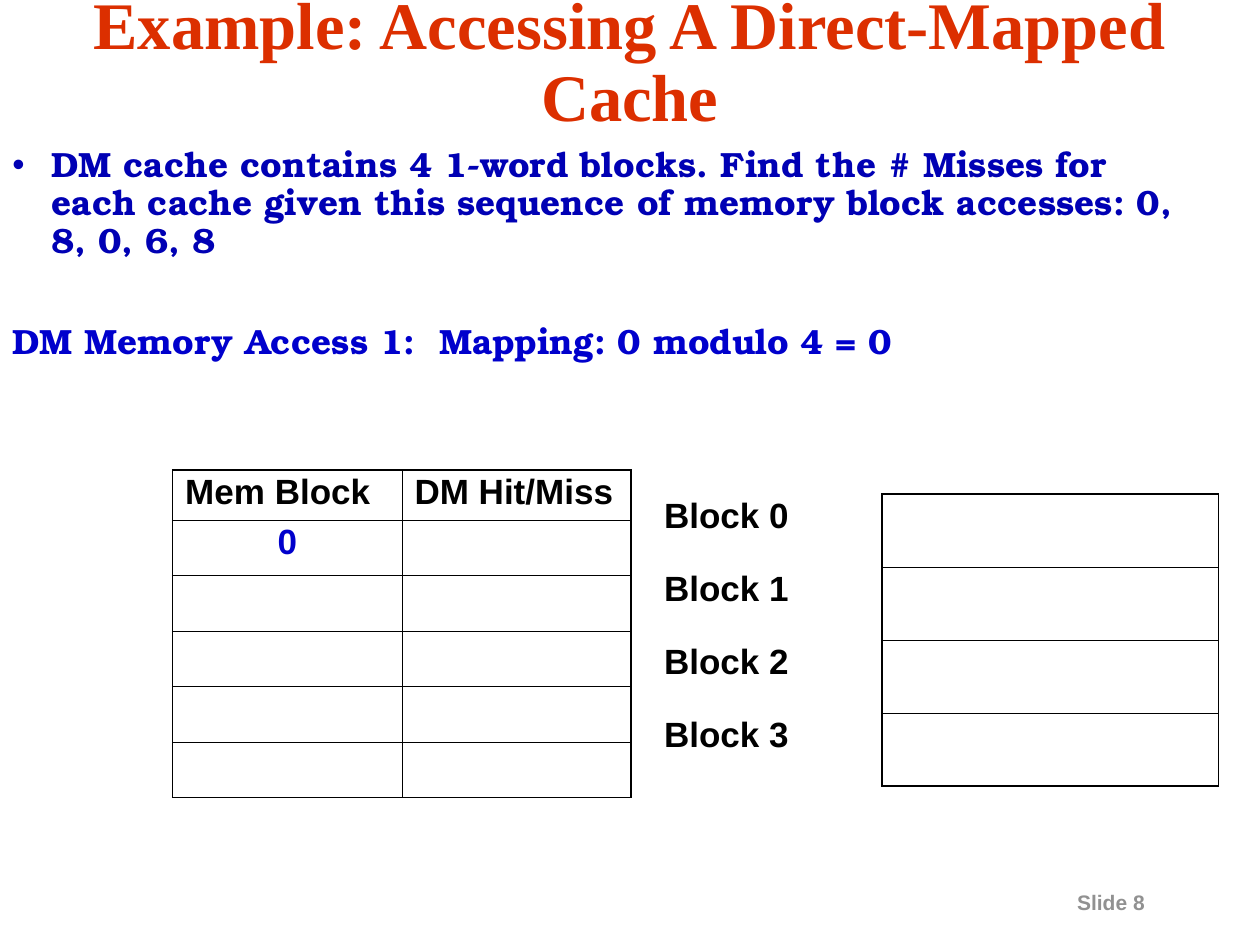
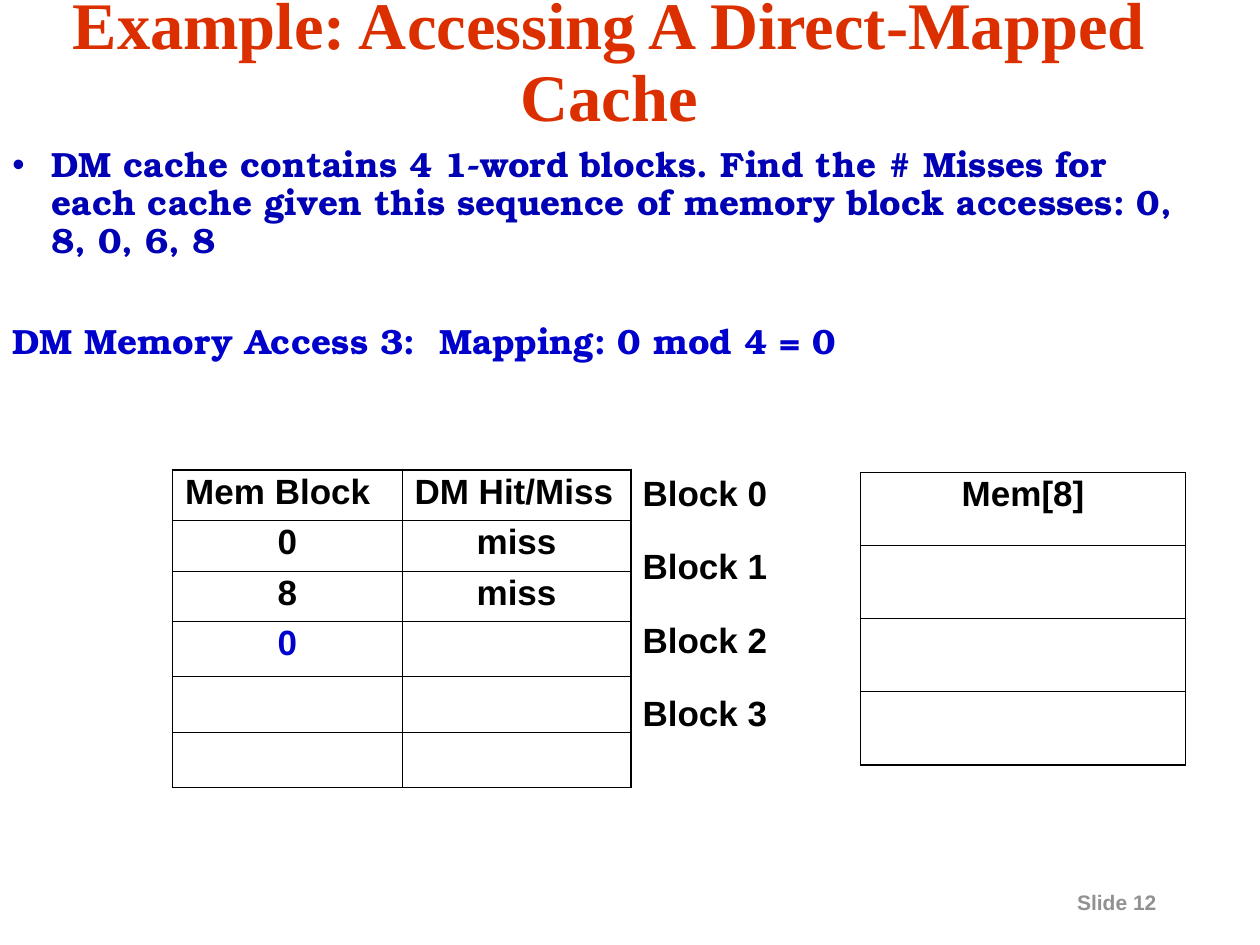
from lxml import etree
from pptx import Presentation
from pptx.dml.color import RGBColor
from pptx.enum.text import MSO_ANCHOR, PP_ALIGN
from pptx.oxml.ns import qn
from pptx.util import Inches, Pt

LEFT, CENTER = PP_ALIGN.LEFT, PP_ALIGN.CENTER
TOP, MIDDLE = MSO_ANCHOR.TOP, MSO_ANCHOR.MIDDLE
COLORS = {"title": "DC2F00", "question": "0000B4", "current": "0000CC",
          "text": "000000", "footer": "919191"}
TITLE = {"name": "Times New Roman", "size": Pt(38), "bold": True}
BODY = {"name": "TeX Gyre Bonum", "size": Pt(20), "bold": True}
CELL = {"name": "Arial", "size": Pt(20), "bold": True}
FOOTER = {"name": "Arial", "size": Pt(12), "bold": True}
OUTER, INNER = Pt(1.08), Pt(0.45)
HEADING = "Example: Accessing A Direct-Mapped Cache"
QUESTION = ("DM cache contains 4 1-word blocks. Find the # Misses for each cache "
            "given this sequence of memory block accesses: 0, 8, 0, 6, 8")
ACCESS_HEADER = ("Mem Block", "DM Hit/Miss")
ACCESS_COUNT, BLOCK_COUNT = 5, 4


def write(p, text, style, color, align=LEFT, spacing=0.9):
    """Put one formatted run into a paragraph."""
    p.alignment, p.line_spacing = align, spacing
    r = p.add_run()
    r.text = text
    for name, value in style.items():
        setattr(r.font, name, value)
    r.font.color.rgb = RGBColor.from_string(COLORS[color])


def add_box(s, box, anchor=TOP):
    """Add a wrapping text box and return its text frame."""
    tf = s.shapes.add_textbox(*map(Inches, box)).text_frame
    tf.word_wrap, tf.vertical_anchor = True, anchor
    return tf


def hang(p, bullet=None):
    """Give a paragraph a hanging indent and, if asked, a bullet."""
    pPr = p._p.get_or_add_pPr()
    pPr.set("marL", str(Inches(0.31)))
    pPr.set("indent", str(-Inches(0.31)))
    if bullet:
        clr = etree.SubElement(pPr, qn("a:buClr"))
        etree.SubElement(clr, qn("a:srgbClr"), val=COLORS["question"])
        etree.SubElement(pPr, qn("a:buFont"), typeface="Arial")
        etree.SubElement(pPr, qn("a:buChar"), char=bullet)


def set_borders(cell, widths):
    """Draw the cell's edges, leaving out those without a width."""
    tcPr = cell._tc.get_or_add_tcPr()
    for side in "LRTB":
        width = widths.get(side)
        ln = etree.SubElement(tcPr, qn("a:ln" + side), w=str(width or 0))
        if width:
            fill = etree.SubElement(ln, qn("a:solidFill"))
            etree.SubElement(fill, qn("a:srgbClr"), val=COLORS["text"])
        else:
            etree.SubElement(ln, qn("a:noFill"))


def add_grid(s, left, top, widths, heights, first_col=0):
    """Add an empty table framed from first_col to its last column."""
    rows, cols = len(heights), len(widths)
    table = s.shapes.add_table(rows, cols, Inches(left), Inches(top),
                               Inches(sum(widths)), Inches(sum(heights))).table
    table.first_row = table.horz_banding = False
    for col, width in zip(table.columns, widths):
        col.width = Inches(width)
    for i, (row, height) in enumerate(zip(table.rows, heights)):
        row.height = Inches(height)
        for j, cell in enumerate(row.cells):
            if j < first_col:
                edges = {"R": OUTER}
            else:
                edges = {"L": OUTER if j == first_col else INNER,
                         "R": OUTER if j == cols - 1 else INNER,
                         "T": OUTER if i == 0 else INNER,
                         "B": OUTER if i == rows - 1 else INNER}
            set_borders(cell, edges)
            cell.fill.background()
    return table


def fill_cell(cell, text, align=CENTER, color="text"):
    """Write a cell's text, leaving an empty one untouched."""
    if text:
        write(cell.text_frame.paragraphs[0], text, CELL, color, align)


def add_cache(s, left, top, value_width, contents):
    """Add the labelled cache blocks with their contents."""
    table = add_grid(s, left, top, (1.83, value_width), [0.58] * BLOCK_COUNT, 1)
    for i in range(BLOCK_COUNT):
        fill_cell(table.cell(i, 0), f"Block {i}", LEFT)
        fill_cell(table.cell(i, 1), contents.get(i))


def add_accesses(s, left, top, accesses):
    """Add the hit/miss log, marking the access without a result."""
    blanks = [("", "")] * (ACCESS_COUNT - len(accesses))
    rows = [ACCESS_HEADER, *accesses, *blanks]
    heights = [0.4 if all(row) else 0.44 for row in rows]
    table = add_grid(s, left, top, (1.82, 1.82), heights)
    for i, row in enumerate(rows):
        for j, text in enumerate(row):
            fill_cell(table.cell(i, j), text, CENTER if i else LEFT,
                      "text" if all(row) else "current")


def add_body(s, box, mapping):
    """Add the bulleted question and the current mapping line."""
    tf = add_box(s, box)
    p = tf.paragraphs[0]
    hang(p, "•")
    write(p, QUESTION, BODY, "question")
    p = tf.add_paragraph()
    hang(p)
    p.space_before = Pt(36.5)
    write(p, mapping, BODY, "current")


def add_access_slide(prs, number, title_width, mapping, accesses, cache):
    """Add one step of the direct-mapped cache example."""
    s = prs.slides.add_slide(prs.slide_layouts[6])
    write(add_box(s, (8.45, 7.01, 1.45, 0.3)).paragraphs[0],
          f"Slide {number}", FOOTER, "footer", spacing=1.0)
    write(add_box(s, (0, 0.17, title_width, 0.67), MIDDLE).paragraphs[0],
          HEADING, TITLE, "title", CENTER)
    add_body(s, (0, 1.12, 9.58, 2.63), mapping)
    add_cache(s, *cache)
    add_accesses(s, 1.37, 3.73, accesses)


def main():
    """Build and save the deck."""
    prs = Presentation()
    prs.slide_width, prs.slide_height = Inches(10), Inches(7.5)
    add_access_slide(prs, 8, 10, "DM Memory Access 1:  Mapping: 0 modulo 4 = 0",
                     [("0", "")], (5.17, 3.92, 2.67, {}))
    add_access_slide(prs, 12, 9.67, "DM Memory Access 3:  Mapping: 0 mod 4 = 0",
                     [("0", "miss"), ("8", "miss"), ("0", "")],
                     (5, 3.75, 2.58, {0: "Mem[8]"}))
    prs.save("out.pptx")


if __name__ == "__main__":
    main()
